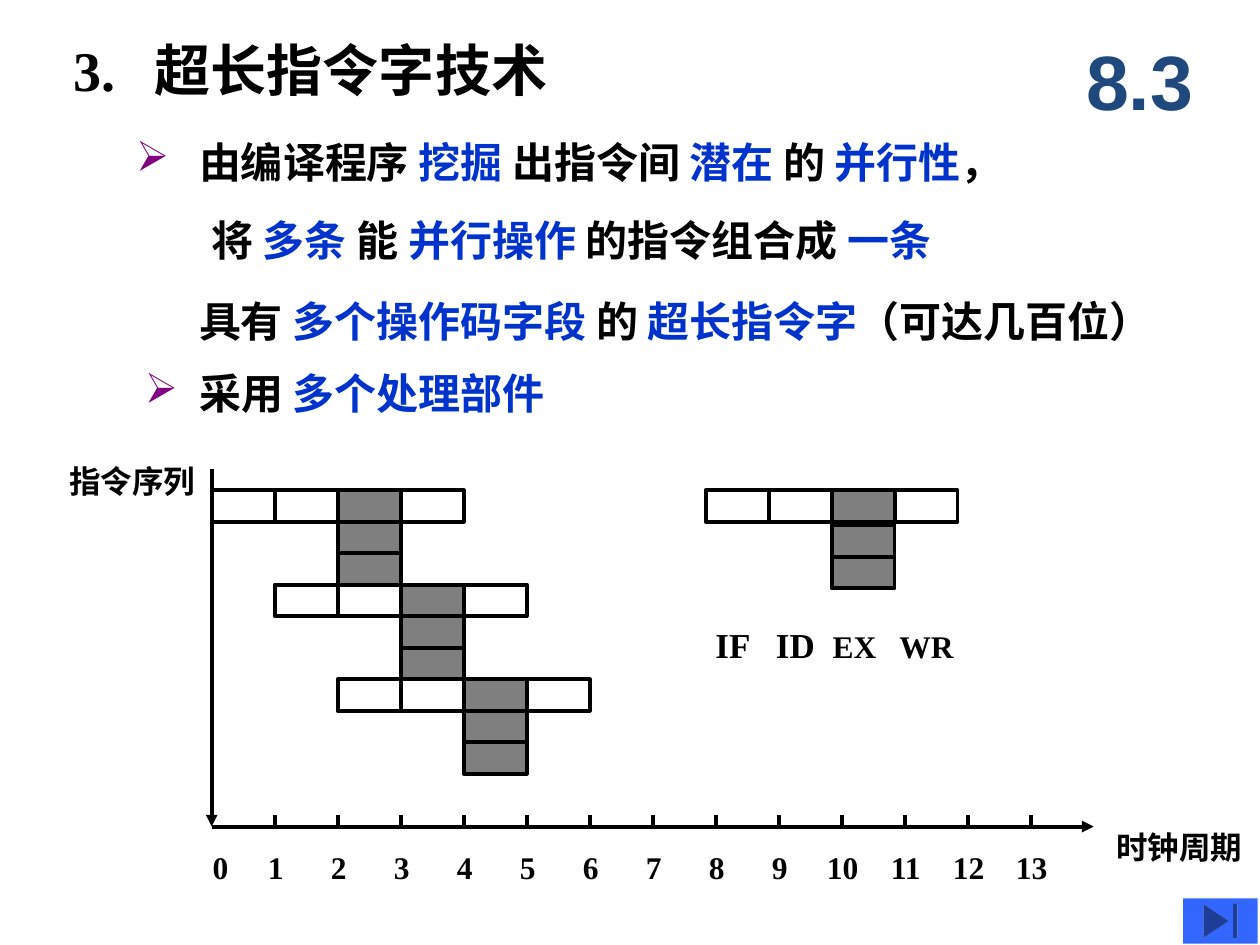
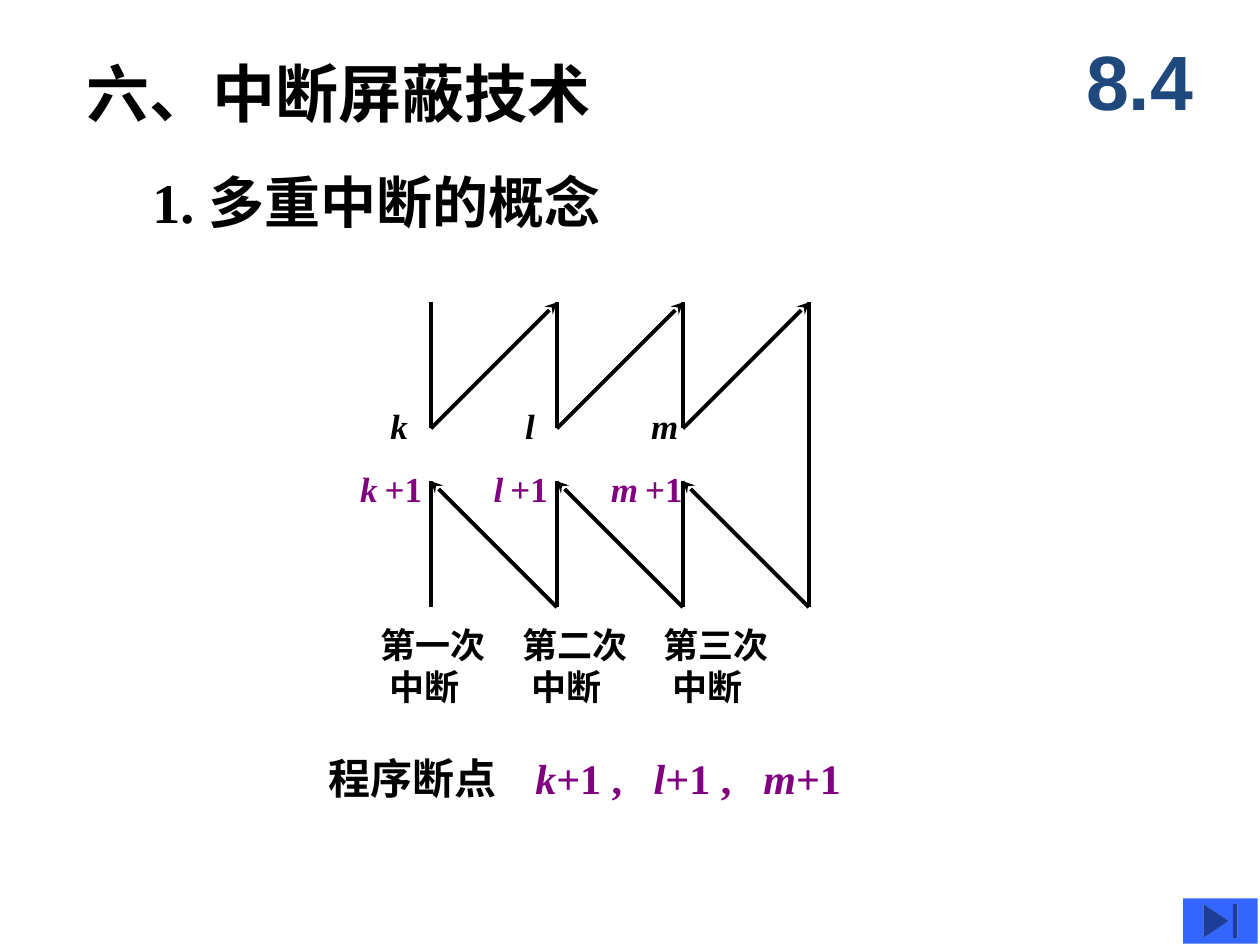
from itertools import cycle

from lxml import etree
from pptx import Presentation
from pptx.dml.color import RGBColor
from pptx.enum.shapes import MSO_CONNECTOR, MSO_SHAPE
from pptx.enum.text import MSO_ANCHOR, PP_ALIGN
from pptx.oxml.ns import qn
from pptx.util import Pt

PX = 9144  # 100 px to the inch

BLACK = RGBColor(0x00, 0x00, 0x00)
BLUE = RGBColor(0x00, 0x33, 0xCC)
PURPLE = RGBColor(0x80, 0x00, 0x80)
NAVY = RGBColor(0x1F, 0x49, 0x7D)
BUTTON_BLUE = RGBColor(0x33, 0x66, 0xFF)

RECT = MSO_SHAPE.RECTANGLE
END_BUTTON = MSO_SHAPE.ACTION_BUTTON_END
STRAIGHT = MSO_CONNECTOR.STRAIGHT
TOP, MIDDLE = MSO_ANCHOR.TOP, MSO_ANCHOR.MIDDLE
CENTER = PP_ALIGN.CENTER

BODY_FONT = "Times New Roman"
NUMBER_FONT = "Arial"
LINE_WIDTH = Pt(2.25)

PLAIN = [(BLACK, False)]
KEYWORDS = [(BLACK, False), (BLUE, False)]


def add_text(s, box, texts, size, looks=PLAIN, inset=10, anchor=TOP,
             bullet=0, tabs=(), tab_align="l"):
    """Add one paragraph whose runs take the (colour, italic) looks in turn.

    bullet is the hanging indent of an arrow bullet, 0 for none.
    """
    tf = s.shapes.add_textbox(*(v * PX for v in box)).text_frame
    tf.word_wrap = True
    tf.vertical_anchor = anchor
    tf.margin_left = tf.margin_right = inset * PX
    tf.margin_top = tf.margin_bottom = 5 * PX
    p = tf.paragraphs[0]
    pPr = p._p.get_or_add_pPr()
    if bullet:
        pPr.set("marL", str(bullet * PX))
        pPr.set("indent", str(-bullet * PX))
        clr = etree.SubElement(pPr, qn("a:buClr"))
        etree.SubElement(clr, qn("a:srgbClr"), val=str(PURPLE))
        etree.SubElement(pPr, qn("a:buChar"), char="➢")
    if tabs:
        tab_list = etree.SubElement(pPr, qn("a:tabLst"))
        for pos in tabs:
            etree.SubElement(tab_list, qn("a:tab"), pos=str(pos * PX), algn=tab_align)
    for text, (color, italic) in zip(texts, cycle(looks)):
        r = p.add_run()
        r.text = text
        r.font.name = BODY_FONT
        r.font.size = Pt(size)
        r.font.bold = True
        r.font.italic = italic
        r.font.color.rgb = color
    return tf


def add_line(s, x1, y1, x2, y2, arrow=None):
    line = s.shapes.add_connector(STRAIGHT, x1 * PX, y1 * PX, x2 * PX, y2 * PX)
    line.line.color.rgb = BLACK
    line.line.width = LINE_WIDTH
    if arrow:
        etree.SubElement(line.line._get_or_add_ln(), qn("a:tailEnd"), type=arrow)
    etree.SubElement(line._element.spPr, qn("a:effectLst"))


prs = Presentation()
prs.slide_width = 1000 * PX
prs.slide_height = 750 * PX

# Section number and button on every slide
for section in ("8.3", "8.4"):
    s = prs.slides.add_slide(prs.slide_layouts[6])
    tf = add_text(s, (842, 17, 125, 92), [section], 44, [(NAVY, False)], anchor=MIDDLE)
    p = tf.paragraphs[0]
    p.alignment = CENTER
    p.runs[0].font.name = NUMBER_FONT
    button = s.shapes.add_shape(END_BUTTON, 939 * PX, 713 * PX, 59 * PX, 36 * PX)
    button.shadow.inherit = False
    button.fill.solid()
    button.fill.fore_color.rgb = BUTTON_BLUE
    button.line.fill.background()

vliw, interrupts = prs.slides

# Slide 1: very long instruction words
s = vliw
add_text(s, (58, 25, 520, 59), ["3.\t超长指令字技术"], 32, inset=0, anchor=MIDDLE, tabs=[65])
tf = add_text(s, (108, 92, 720, 58),
              ["由编译程序 ", "挖掘 ", "出指令间 ", "潜在 ", "的 ", "并行性", "，"],
              24, KEYWORDS, inset=0, anchor=MIDDLE, bullet=50)
tf.paragraphs[0].line_spacing = 1.35
tf = add_text(s, (158, 151, 620, 64),
              ["将 ", "多条 ", "能 ", "并行操作 ", "的指令组合成 ", "一条"], 24, KEYWORDS)
tf.paragraphs[0].line_spacing = 1.35
add_text(s, (158, 217, 830, 75),
         ["具有 ", "多个操作码字段 ", "的 ", "超长指令字", "（可达几百位）"],
         24, KEYWORDS, inset=0, anchor=MIDDLE)
add_text(s, (115, 283, 658, 58), ["采用 ", "多个处理部件"], 24, KEYWORDS,
         inset=0, anchor=MIDDLE, bullet=43)

# Each instruction: four stages, the third one on three units
STAGE_W, STAGE_H = 50, 25
AXIS_X, AXIS_Y = 168, 656
instructions = [(AXIS_X + i * STAGE_W, 389 + i * 3 * STAGE_H, 0) for i in range(3)]
instructions.append((560, 389, 3))
for x, y, gap in instructions:
    stages = [(column, y) for column in range(4)]
    stages += [(2, y + gap + unit * STAGE_H) for unit in (1, 2)]
    for column, top in stages:
        stage = s.shapes.add_shape(RECT, (x + column * STAGE_W) * PX, top * PX,
                                   STAGE_W * PX, STAGE_H * PX)
        stage.shadow.inherit = False
        stage.line.color.rgb = BLACK
        stage.line.width = LINE_WIDTH
        if column == 2:
            stage.fill.solid()
            stage.fill.fore_color.rgb = BLACK
            fill_color = stage._element.spPr.find(".//" + qn("a:srgbClr"))
            etree.SubElement(fill_color, qn("a:alpha"), val="50000")
        else:
            stage.fill.background()

tf = add_text(s, (558, 490, 225, 44), ["IF\tID\t", "EX\tWR"], 20, tabs=[48, 93, 146])
tf.paragraphs[0].runs[1].font.size = Pt(18)

add_line(s, AXIS_X, 372, AXIS_X, AXIS_Y, "triangle")
add_line(s, AXIS_X, AXIS_Y, 868, AXIS_Y, "triangle")
ticks = [i * STAGE_W for i in range(1, 14)]
for tick in ticks:
    add_line(s, AXIS_X + tick, AXIS_Y - 9, AXIS_X + tick, AXIS_Y)
add_text(s, (159, 668, 700, 40), ["\t".join(str(i) for i in range(14))], 18,
         tabs=ticks, tab_align="ctr")
add_text(s, (876, 652, 124, 40), ["时钟周期"], 18)
add_text(s, (45, 362, 124, 40), ["指令序列"], 18)

# Slide 2: nested interrupts
s = interrupts
add_text(s, (59, 38, 440, 70), ["六、中断屏蔽技术"], 36)
add_text(s, (121, 136, 400, 47), ["1. 多重中断的概念"], 32, inset=0, anchor=MIDDLE)

STEP = 100
CALL_TOP, CALL_END = 240, 340
RETURN_TOP, RETURN_END = 382, 482
for x in (342, 442, 542):
    add_line(s, x, CALL_TOP, x, CALL_END)
    add_line(s, x, CALL_END, x + STEP, CALL_TOP, "stealth")
    add_line(s, x + STEP, RETURN_END, x, RETURN_TOP, "stealth")
    add_line(s, x, RETURN_TOP, x, RETURN_END)
add_line(s, 642, CALL_TOP, 642, RETURN_END)

breakpoints = [
    ("k", 300, 276, "第一次", 292),
    ("l", 407, 382, "第二次", 405),
    ("m", 507, 475, "第三次", 517),
]
for name, name_x, next_x, order, order_x in breakpoints:
    add_text(s, (name_x, 316, 50, 44), [name], 20, [(BLACK, True)])
    tf = add_text(s, (next_x, 366, 90, 44), [name, " ", "+1"], 20,
                  [(PURPLE, True), (PURPLE, False), (PURPLE, False)])
    tf.paragraphs[0].runs[1].font.size = Pt(16)
    tf = add_text(s, (order_x, 490, 112, 77), [order], 20)
    p = tf.add_paragraph()
    p.text = "中断"
    p._p.get_or_add_pPr().set("marL", str(7 * PX))
    font = p.runs[0].font
    font.name = BODY_FONT
    font.size = Pt(20)
    font.bold = True
    font.color.rgb = BLACK

add_text(s, (251, 592, 482, 50), ["程序断点\t", "k", "+1 ,\t", "l", "+1 ,\t", "m", "+1"], 24,
         [(BLACK, False)] + [(PURPLE, True), (PURPLE, False)] * 3, tabs=[164, 258, 345])

prs.save("out.pptx")
